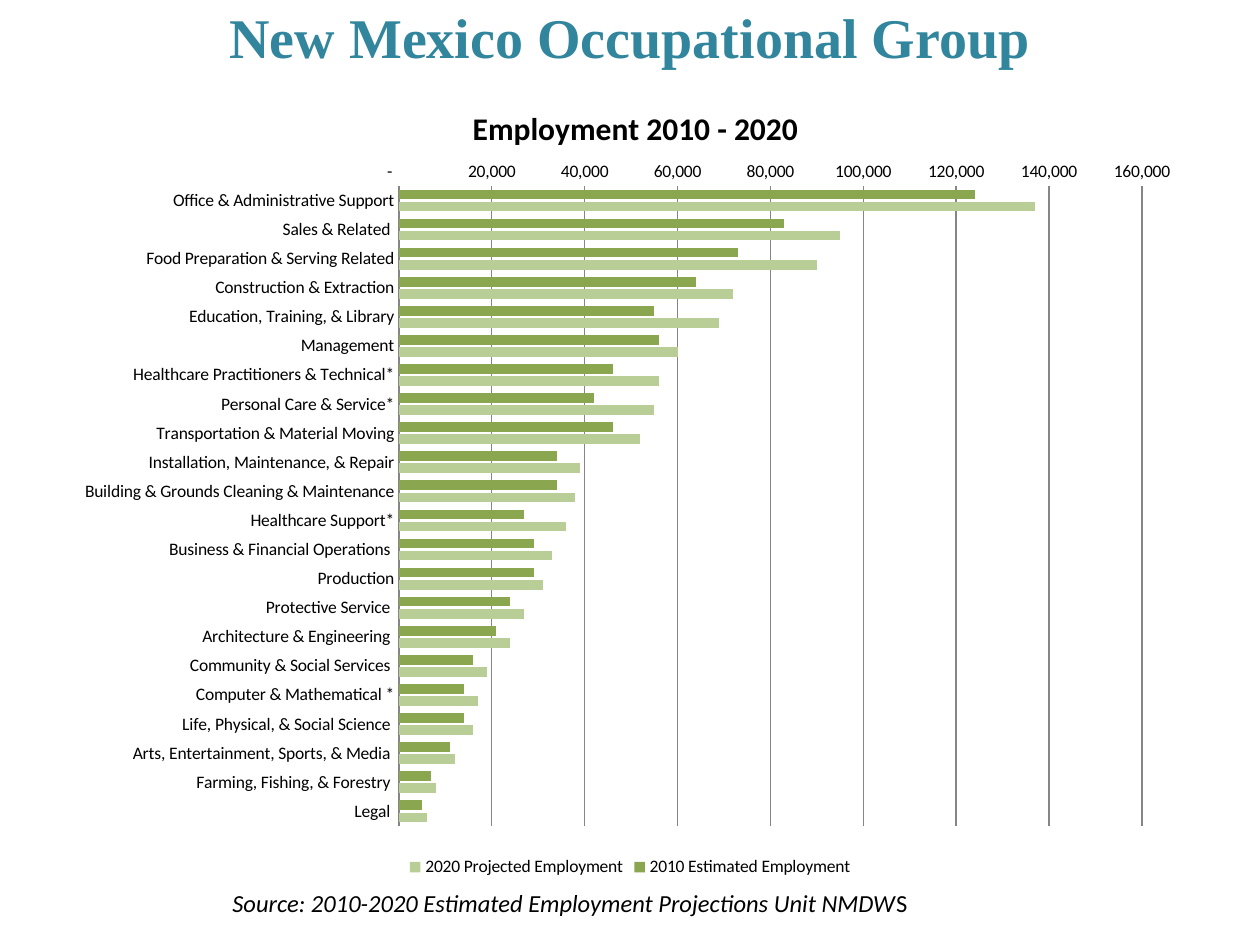
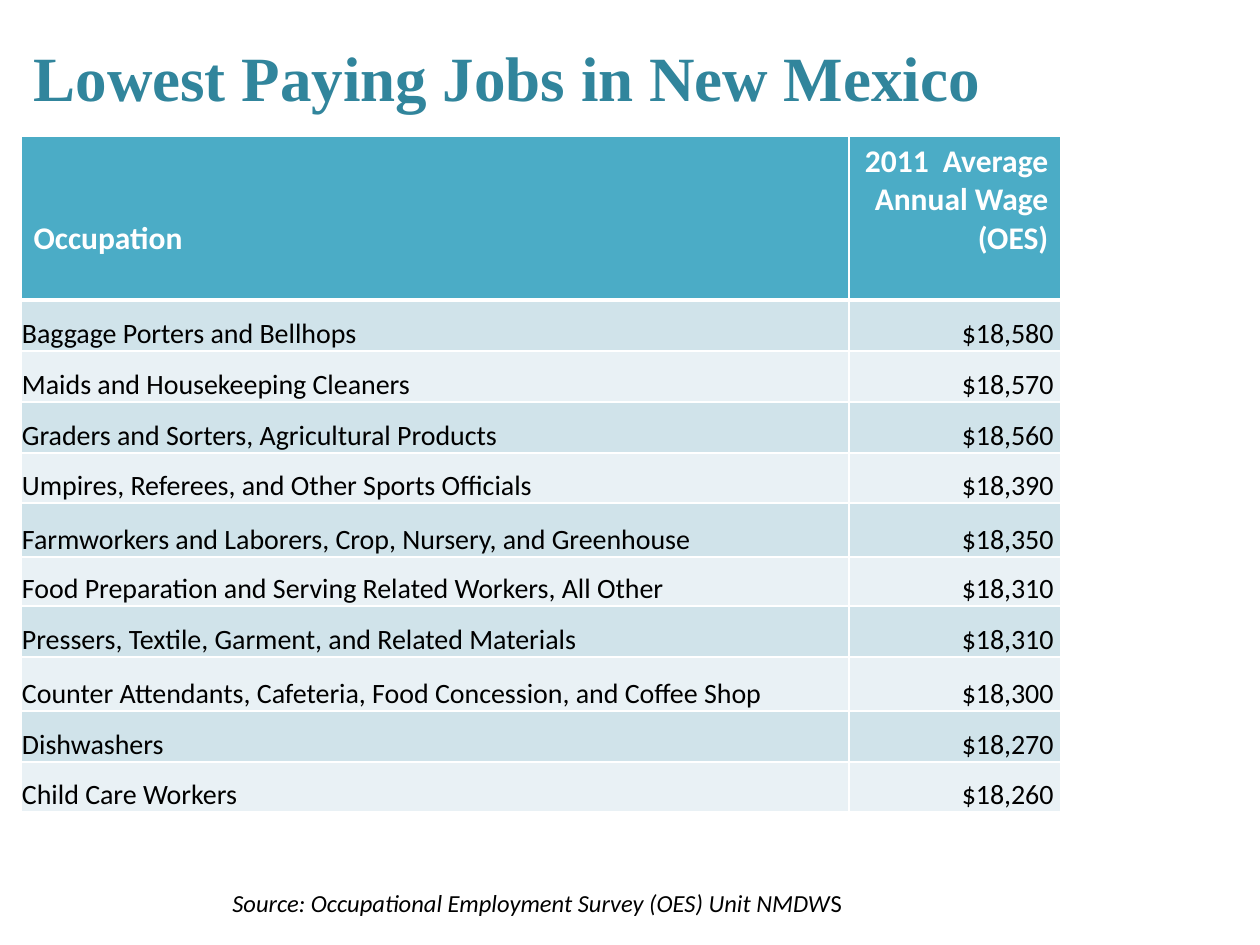
"""Build two slides on New Mexico occupations: an employment chart and a wage table."""
from lxml.etree import SubElement
from pptx import Presentation
from pptx.chart.data import CategoryChartData
from pptx.dml.color import RGBColor
from pptx.enum.chart import XL_CHART_TYPE, XL_LEGEND_POSITION, XL_TICK_MARK
from pptx.enum.text import MSO_ANCHOR, MSO_AUTO_SIZE, PP_ALIGN
from pptx.oxml import parse_xml
from pptx.oxml.ns import nsdecls, qn
from pptx.util import Emu, Pt

EMU_PER_PX = 914400 / 126
TEAL, BLACK, WHITE, GRID = "31859C", "000000", "FFFFFF", "868686"
HEADER_FILL, BAND_FILLS = "4BACC6", ("D0E3EA", "E9F1F5")
TITLE_FONT, BODY_FONT = "Times New Roman", "Calibri"

CHART_TITLE = "Employment 2010 - 2020"
CHART_BOX = (63, 31, 1134, 851)
PLOT_BOX = (336, 155, 743, 640)
CHART_TITLE_SPOT = (404, 70)
AXIS_FORMAT = '_(* #,##0_);_(* \\(#,##0\\);_(* "-"??_);_('
SERIES = (("2010 Estimated Employment", "8AA64F"), ("2020 Projected Employment", "B9CD96"))
EMPLOYMENT_THOUSANDS = [
    ("Office & Administrative Support", 124, 137),
    ("Sales & Related ", 83, 95),
    ("Food Preparation & Serving Related", 73, 90),
    ("Construction & Extraction", 64, 72),
    ("Education, Training, & Library", 55, 69),
    ("Management", 56, 60),
    ("Healthcare Practitioners & Technical*", 46, 56),
    ("Personal Care & Service*", 42, 55),
    ("Transportation & Material Moving", 46, 52),
    ("Installation, Maintenance, & Repair", 34, 39),
    ("Building & Grounds Cleaning & Maintenance", 34, 38),
    ("Healthcare Support*", 27, 36),
    ("Business & Financial Operations ", 29, 33),
    ("Production", 29, 31),
    ("Protective Service ", 24, 27),
    ("Architecture & Engineering ", 21, 24),
    ("Community & Social Services ", 16, 19),
    ("Computer & Mathematical *", 14, 17),
    ("Life, Physical, & Social Science ", 14, 16),
    ("Arts, Entertainment, Sports, & Media ", 11, 12),
    ("Farming, Fishing, & Forestry ", 7, 8),
    ("Legal ", 5, 6),
]

WAGE_HEADER = ("Occupation", "2011  Average Annual Wage (OES)")
WAGES = [
    ("Baggage Porters and Bellhops", "$18,580 "),
    ("Maids and Housekeeping Cleaners", "$18,570 "),
    ("Graders and Sorters, Agricultural Products", "$18,560 "),
    ("Umpires, Referees, and Other Sports Officials", "$18,390 "),
    ("Farmworkers and Laborers, Crop, Nursery, and Greenhouse", "$18,350 "),
    ("Food Preparation and Serving Related Workers, All Other", "$18,310 "),
    ("Pressers, Textile, Garment, and Related Materials", "$18,310 "),
    ("Counter Attendants, Cafeteria, Food Concession, and Coffee Shop", "$18,300 "),
    ("Dishwashers", "$18,270 "),
    ("Child Care Workers", "$18,260 "),
]
WAGE_SPOT = (21, 136)
COLUMN_WIDTHS = (828, 212)
ROW_HEIGHTS = (164, 51, 51, 51, 50, 54, 49, 51, 54, 51, 50)
HEADER_LABEL_DROP = 83


def px(length):
    return Emu(round(length * EMU_PER_PX))


def color(code):
    return RGBColor.from_string(code)


def set_font(font, size, code, name=BODY_FONT, bold=False):
    font.name, font.size, font.bold = name, Pt(size), bold
    font.color.rgb = color(code)


def add_page(deck, title, title_box, size, align):
    page = deck.slides.add_slide(deck.slide_layouts[5])
    holder = page.shapes.title
    holder.left, holder.top, holder.width, holder.height = map(px, title_box)
    holder.text_frame.text = title
    holder.text_frame.vertical_anchor = MSO_ANCHOR.MIDDLE
    para = holder.text_frame.paragraphs[0]
    para.alignment = align
    set_font(para.font, size, TEAL, TITLE_FONT, True)
    return page


def add_source(page, wording, width):
    frame = page.shapes.add_textbox(px(220), px(882), px(width), px(43)).text_frame
    frame.word_wrap = False
    frame.auto_size = MSO_AUTO_SIZE.SHAPE_TO_FIT_TEXT
    para = frame.paragraphs[0]
    set_font(para.font, 14, BLACK)
    for part, italic in ((wording[:-1], True), (wording[-1], False)):
        span = para.add_run()
        span.text, span.font.italic = part, italic


def place_in_chart(element, index, box, target=None):
    """Fix a chart part at a px box, measured from the chart's corner."""
    for old in element.findall(qn("c:layout")):
        element.remove(old)
    layout = parse_xml(f"<c:layout {nsdecls('c')}><c:manualLayout/></c:layout>")
    manual = layout[0]
    settings = [("layoutTarget", target)] if target else []
    settings += [("xMode", "edge"), ("yMode", "edge")]
    sides = (CHART_BOX[2], CHART_BOX[3]) * 2
    settings += [(key, f"{value / side:.4f}") for key, value, side in zip("xywh", box, sides)]
    for key, value in settings:
        SubElement(manual, qn(f"c:{key}")).set("val", value)
    element.insert(index, layout)


def add_employment_chart(page):
    data = CategoryChartData(number_format="#,##0")
    data.categories = [row[0] for row in EMPLOYMENT_THOUSANDS]
    for column, (name, _) in enumerate(SERIES, 1):
        data.add_series(name, [row[column] * 1000 for row in EMPLOYMENT_THOUSANDS])
    chart = page.shapes.add_chart(XL_CHART_TYPE.BAR_CLUSTERED, *map(px, CHART_BOX), data).chart
    set_font(chart.font, 10, BLACK)

    chart.has_title = True
    chart.chart_title.text_frame.text = CHART_TITLE
    set_font(chart.chart_title.text_frame.paragraphs[0].font, 18, BLACK, bold=True)
    place_in_chart(chart.chart_title.element, 1, CHART_TITLE_SPOT)
    place_in_chart(chart.element.find(".//" + qn("c:plotArea")), 0, PLOT_BOX, "inner")

    chart.has_legend = True
    chart.legend.position = XL_LEGEND_POSITION.BOTTOM
    chart.legend.include_in_layout = False

    plot = chart.plots[0]
    plot.gap_width, plot.overlap, plot.vary_by_categories = 75, -25, False
    for series, (_, code) in zip(plot.series, SERIES):
        series.format.fill.solid()
        series.format.fill.fore_color.rgb = color(code)

    names, amounts = chart.category_axis, chart.value_axis
    for axis in (names, amounts):
        axis.major_tick_mark = axis.minor_tick_mark = XL_TICK_MARK.NONE
    names.reverse_order = True
    amounts.minimum_scale, amounts.maximum_scale, amounts.major_unit = 0, 160000, 20000
    amounts.tick_labels.number_format = AXIS_FORMAT
    amounts.tick_labels.number_format_is_linked = False
    amounts.format.line.fill.background()
    amounts.has_major_gridlines = True
    for line in (names.format.line, amounts.major_gridlines.format.line):
        line.color.rgb = color(GRID)
        line.width = Pt(0.75)


def set_borders(cell, bottom):
    properties = cell._tc.get_or_add_tcPr()
    for side, points in (("L", 1), ("R", 1), ("T", 1), ("B", bottom)):
        properties.append(parse_xml(
            f'<a:ln{side} {nsdecls("a")} w="{Pt(points)}"><a:solidFill>'
            f'<a:srgbClr val="{WHITE}"/></a:solidFill></a:ln{side}>'))


def add_wage_table(page):
    rows = [WAGE_HEADER, *WAGES]
    size = (sum(COLUMN_WIDTHS), sum(ROW_HEIGHTS))
    table = page.shapes.add_table(len(rows), 2, *map(px, WAGE_SPOT + size)).table
    for column, width in zip(table.columns, COLUMN_WIDTHS):
        column.width = px(width)
    for index, (row, height, texts) in enumerate(zip(table.rows, ROW_HEIGHTS, rows)):
        row.height = px(height)
        header = index == 0
        for cell, wording, align in zip(row.cells, texts, (PP_ALIGN.LEFT, PP_ALIGN.RIGHT)):
            set_borders(cell, 3 if header else 1)
            cell.fill.solid()
            cell.fill.fore_color.rgb = color(HEADER_FILL if header else BAND_FILLS[(index - 1) % 2])
            cell.text = wording
            para = cell.text_frame.paragraphs[0]
            para.alignment = align
            set_font(para.font, 18 if header else 16, WHITE if header else BLACK, bold=header)
            if not header:
                cell.vertical_anchor = MSO_ANCHOR.BOTTOM
                cell.margin_left = cell.margin_right = cell.margin_top = px(1)
                cell.margin_bottom = 0
    table.cell(0, 0).margin_top = px(HEADER_LABEL_DROP)


def main():
    deck = Presentation()
    deck.slide_width, deck.slide_height = px(1260), px(945)

    page = add_page(deck, "New Mexico Occupational Group", (0, 0, 1260, 73), 32, PP_ALIGN.CENTER)
    add_source(page, "Source: 2010-2020 Estimated Employment Projections Unit NMDWS", 712)
    add_employment_chart(page)

    page = add_page(deck, "Lowest Paying Jobs in New Mexico", (21, 21, 1134, 110), 36, PP_ALIGN.LEFT)
    add_wage_table(page)
    add_source(page, "Source: Occupational Employment Survey (OES) Unit NMDWS", 640)

    deck.save("out.pptx")


if __name__ == "__main__":
    main()
